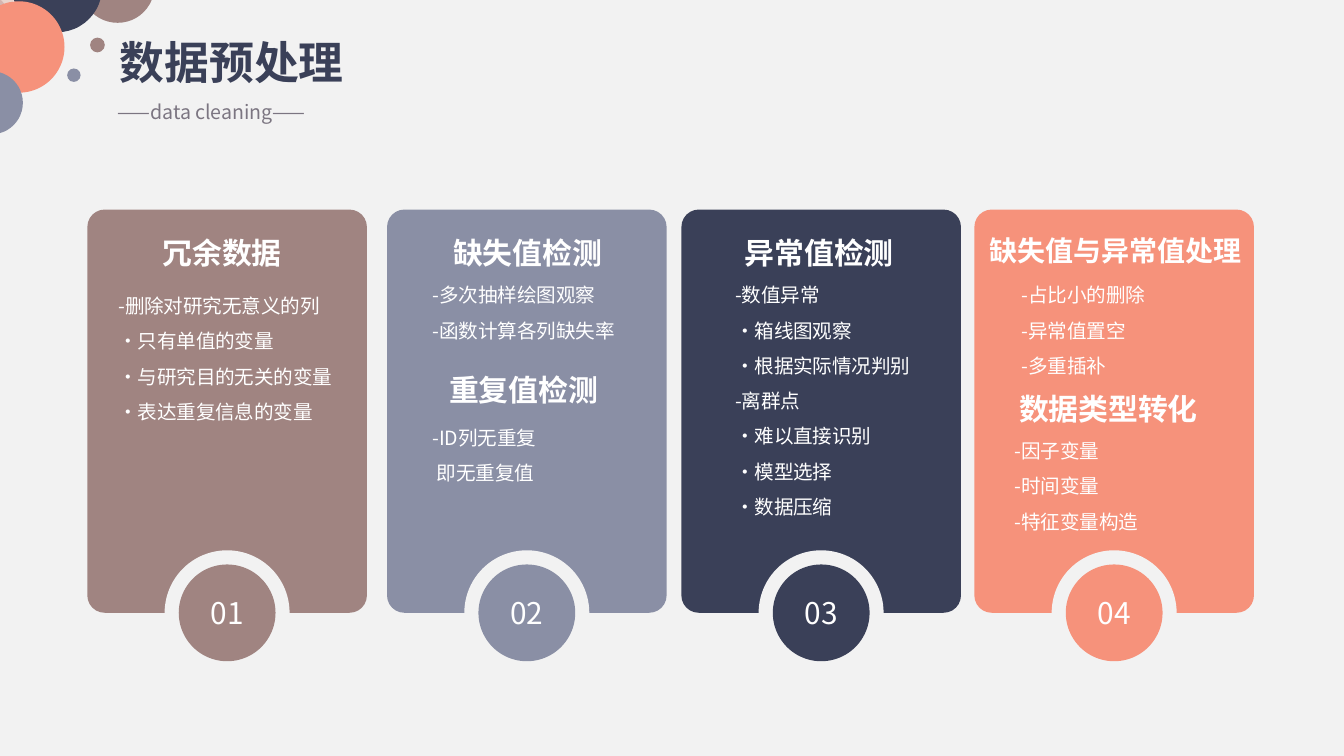
"""Builds the data preprocessing slide with four numbered cards."""
from pptx import Presentation
from pptx.dml.color import RGBColor
from pptx.enum.shapes import MSO_SHAPE as Shape
from pptx.enum.text import MSO_ANCHOR as Anchor, MSO_AUTO_SIZE as AutoSize, PP_ALIGN as Align
from pptx.oxml.ns import qn
from pptx.util import Inches, Pt
from lxml.etree import SubElement

FONT = "Noto Sans CJK SC"
COLORS = {
    "paper": "F2F2F2", "white": "FFFFFF", "grey": "7B7581",
    "navy": "3A4058", "coral": "F6927B", "slate": "8A8FA5",
    "mauve": "A08481", "blush": "E9D5CE", "rose": "D4B5B0",
}


def add_filled(kind, left, top, width, height, color):
    shape = slide.shapes.add_shape(kind, Inches(left), Inches(top), Inches(width), Inches(height))
    shape.shadow.inherit = False
    shape.fill.solid()
    shape.fill.fore_color.rgb = RGBColor.from_string(COLORS[color])
    shape.line.fill.background()
    return shape


def write(frame, lines, size, color="white", bold=False, align=Align.LEFT, spacing=1.0, wrap=True):
    frame.auto_size = AutoSize.NONE
    frame.word_wrap = wrap
    for number, line in enumerate(lines):
        paragraph = frame.add_paragraph() if number else frame.paragraphs[0]
        paragraph.alignment = align
        paragraph.line_spacing = spacing
        paragraph.space_before = Pt(0)
        properties = paragraph._p.get_or_add_pPr()
        properties.set("marL", "0")
        properties.set("indent", "0")
        SubElement(properties, qn("a:buNone"))
        run = paragraph.add_run()
        run.text = line
        run.font.size = Pt(size)
        run.font.bold = bold
        run.font.name = FONT
        run.font.color.rgb = RGBColor.from_string(COLORS[color])
        run_properties = run.font._element
        run_properties.set("lang", "zh-CN")
        SubElement(run_properties, qn("a:ea")).set("typeface", FONT)


deck = Presentation()
deck.slide_width, deck.slide_height = Inches(10), Inches(10 * 9 / 16)
slide = deck.slides.add_slide(deck.slide_layouts[4])
slide.background.fill.solid()
slide.background.fill.fore_color.rgb = RGBColor.from_string(COLORS["paper"])
title, *card_lists = slide.placeholders

corner_dots = [
    (-0.27, -0.34, 0.42, "blush"),
    (-0.35, -0.06, 0.42, "rose"),
    (0.67, 0.28, 0.11, "mauve"),
    (0.5, 0.51, 0.1, "slate"),
    (0.6, -0.38, 0.55, "mauve"),
    (0.09, -0.43, 0.67, "navy"),
    (-0.2, 0.01, 0.68, "coral"),
    (-0.3, 0.53, 0.47, "slate"),
]
for left, top, size, color in corner_dots:
    add_filled(Shape.OVAL, left, top, size, size, color)

title.left, title.top, title.width, title.height = Inches(0.79), Inches(0.21), Inches(1.87), Inches(0.5)
title.text_frame.vertical_anchor = Anchor.TOP
write(title.text_frame, ["数据预处理"], 24, "navy", bold=True, wrap=False)
subtitle = slide.shapes.add_textbox(Inches(0.78), Inches(0.61), Inches(1.94), Inches(0.36))
write(subtitle.text_frame, ["——data cleaning——"], 10.5, "grey", spacing=1.5)

CARD_WIDTH, CARD_TOP, CARD_HEIGHT = 2.08, 1.56, 3
RING, BADGE = 0.93, 0.72
for number, (left, color) in enumerate(
        [(0.65, "mauve"), (2.88, "slate"), (5.07, "navy"), (7.25, "coral")], 1):
    card = add_filled(Shape.ROUNDED_RECTANGLE, left, CARD_TOP, CARD_WIDTH, CARD_HEIGHT, color)
    card.adjustments[0] = 0.062
    for size, fill in [(RING, "paper"), (BADGE, color)]:
        badge = add_filled(Shape.OVAL, left + (CARD_WIDTH - size) / 2,
                           CARD_TOP + CARD_HEIGHT - size / 2, size, size, fill)
    badge.text_frame.vertical_anchor = Anchor.MIDDLE
    write(badge.text_frame, [f"{number:02}"], 16, align=Align.CENTER, wrap=False)

headings = [
    ("冗余数据", 1.11, 1.7, 16),
    ("缺失值检测", 3.27, 1.7, 16),
    ("重复值检测", 3.24, 2.72, 16),
    ("异常值检测", 5.44, 1.7, 16),
    ("缺失值与异常值处理", 7.26, 1.69, 15),
    ("数据类型转化", 7.48, 2.86, 16),
]
for text, left, top, size in headings:
    heading = slide.shapes.add_textbox(
        Inches(left), Inches(top), Inches(0.2 + len(text) * size / 72), Inches(0.37))
    write(heading.text_frame, [text], size, bold=True, align=Align.CENTER, wrap=False)

lists = [
    (0.78, 2.05, 1.85, 2.04, ["-删除对研究无意义的列", "·只有单值的变量",
                              "·与研究目的无关的变量", "·表达重复信息的变量"]),
    (3.12, 1.97, 1.75, 0.68, ["-多次抽样绘图观察", "-函数计算各列缺失率"]),
    (5.37, 1.97, 1.61, 1.95, ["-数值异常", "·箱线图观察", "·根据实际情况判别", "-离群点",
                              "·难以直接识别", "·模型选择", "·数据压缩"]),
    (7.5, 1.97, 1.75, 0.84, ["-占比小的删除", "-异常值置空", "-多重插补"]),
    (3.12, 3.03, 1.63, 0.68, ["-ID列无重复", " 即无重复值"]),
    (7.45, 3.13, 1.75, 0.84, ["-因子变量", "-时间变量", "-特征变量构造"]),
]
for left, top, width, height, items in lists:
    if card_lists:
        points = card_lists.pop(0)
        points.element.getparent().append(points.element)
    else:
        points = slide.shapes.add_textbox(0, 0, 0, 0)
    points.left, points.top = Inches(left), Inches(top)
    points.width, points.height = Inches(width), Inches(height)
    points.text_frame.vertical_anchor = Anchor.TOP
    write(points.text_frame, items, 10.5, spacing=1.5)

deck.save("out.pptx")
